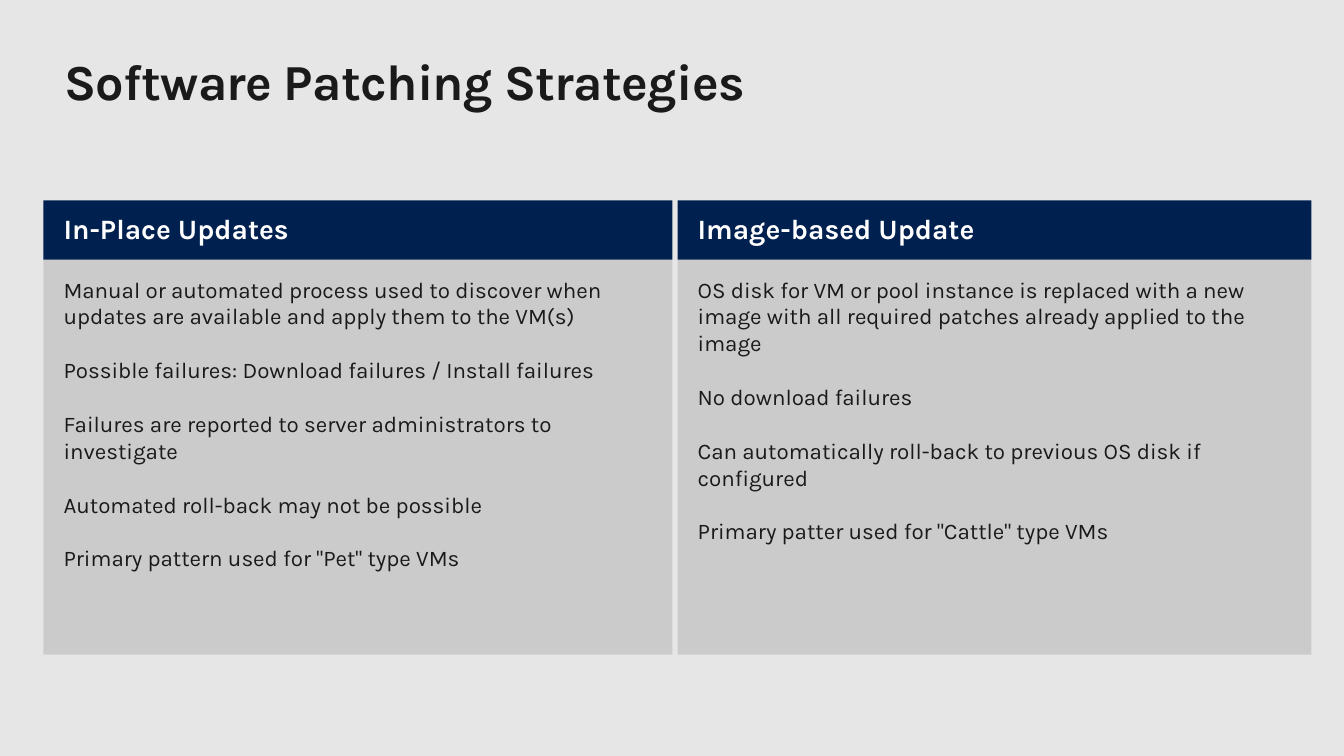
from lxml import etree
from pptx import Presentation
from pptx.dml.color import RGBColor
from pptx.enum import shapes, text
from pptx.oxml import ns
from pptx.util import Pt

INK = RGBColor(0x1A, 0x1A, 0x1A)
NAVY = RGBColor(0x00, 0x20, 0x50)
WHITE = RGBColor(0xFF, 0xFF, 0xFF)
BACKGROUND = RGBColor(0xE6, 0xE6, 0xE6)

HEADER_TOP, HEADER_HEIGHT = 143.2, 42.2
BODY_TOP, BODY_HEIGHT = 185.4, 282.2

STRATEGIES = [
    (31, 449.2, "In-Place Updates", [
        "Manual or automated process used to discover when updates are "
        "available and apply them to the VM(s)",
        "Possible failures: Download failures / Install failures",
        "Failures are reported to server administrators to investigate",
        "Automated roll-back may not be possible",
        'Primary pattern used for "Pet" type VMs',
    ]),
    (484, 452.8, "Image-based Update", [
        "OS disk for VM or pool instance is replaced with a new image with "
        "all required patches already applied to the image",
        "No download failures",
        "Can automatically roll-back to previous OS disk if configured",
        'Primary patter used for "Cattle" type VMs',
    ]),
]


def write(sp, lines, size, color, bold, anchor, inset_x, inset_y):
    """Fill a shape with left-aligned paragraphs, one blank line apart."""
    tf = sp.text_frame
    tf.word_wrap = True
    tf.vertical_anchor = anchor
    tf.margin_left = tf.margin_right = Pt(inset_x)
    tf.margin_top = tf.margin_bottom = Pt(inset_y)
    for i, line in enumerate(lines):
        p = tf.add_paragraph() if i else tf.paragraphs[0]
        p.text = line
        p.alignment = text.PP_ALIGN.LEFT
        if i:
            p.space_before = Pt(19.2)
        font = p.runs[0].font
        font.name, font.size, font.bold = "Karla", Pt(size), bold
        font.color.rgb = color


def add_panel(left, top, width, height, color):
    sp = slide.shapes.add_shape(shapes.MSO_SHAPE.RECTANGLE,
                                Pt(left), Pt(top), Pt(width), Pt(height))
    sp.shadow.inherit = False
    sp.fill.solid()
    sp.fill.fore_color.rgb = color
    sp.line.fill.background()
    return sp


prs = Presentation()
prs.slide_width, prs.slide_height = Pt(960), Pt(540)
slide = prs.slides.add_slide(prs.slide_layouts[6])
slide.background.fill.solid()
slide.background.fill.fore_color.rgb = BACKGROUND

title = slide.shapes.add_textbox(Pt(46), Pt(36), Pt(867.6), Pt(44))
write(title, ["Software Patching Strategies"], 36, INK, True,
      text.MSO_ANCHOR.TOP, 0, 0)
title.text_frame.paragraphs[0].runs[0].font._element.set("spc", "-50")

for left, width, heading, points in STRATEGIES:
    header = add_panel(left, HEADER_TOP, width, HEADER_HEIGHT, NAVY)
    write(header, [heading], 20, WHITE, True,
          text.MSO_ANCHOR.MIDDLE, 14.4, 11.5)
    header.text_frame.paragraphs[0].line_spacing = 0.9

    body = add_panel(left, BODY_TOP, width, BODY_HEIGHT, INK)
    fill_color = body._element.spPr.find(ns.qn("a:solidFill"))[0]
    etree.SubElement(fill_color, ns.qn("a:alpha"), val="13000")
    write(body, points, 16, INK, False, text.MSO_ANCHOR.TOP, 14.4, 11.5)

prs.save("out.pptx")
